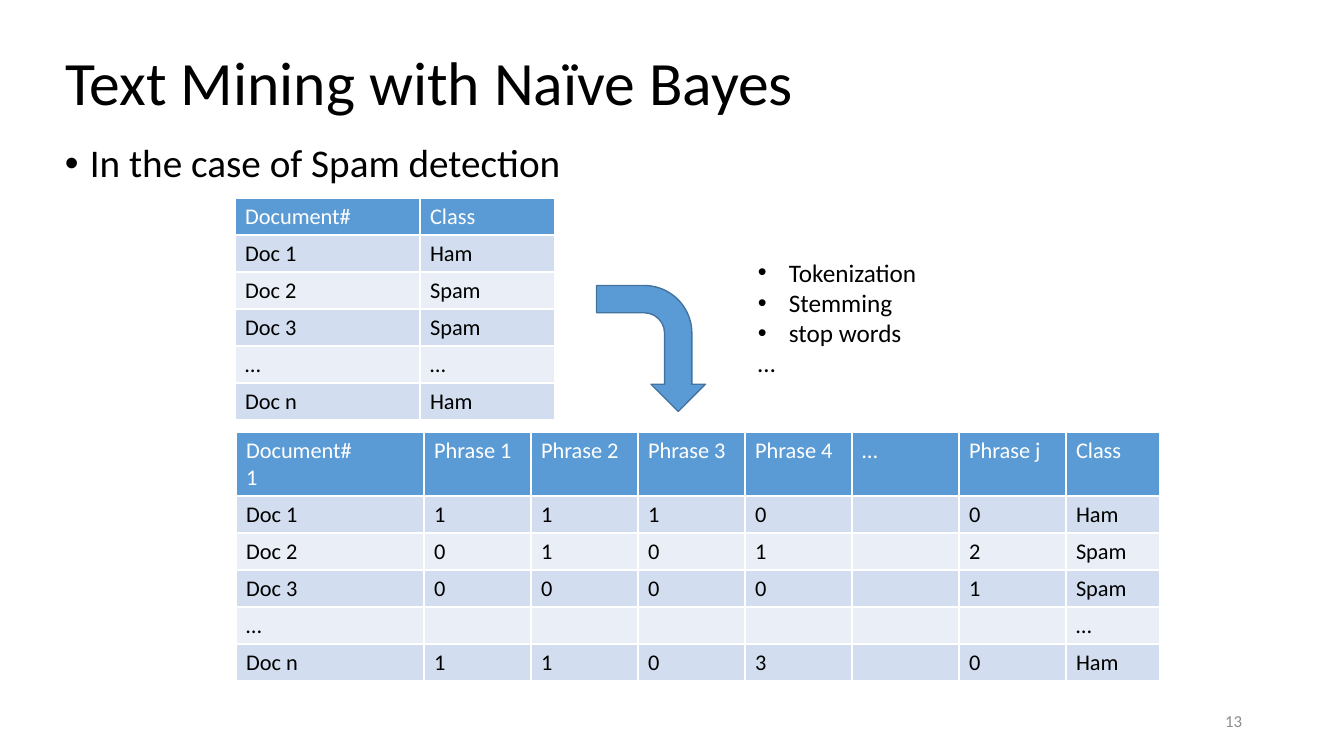
from lxml.etree import SubElement
from pptx import Presentation
from pptx.dml.color import RGBColor
from pptx.enum.shapes import MSO_SHAPE
from pptx.enum.text import MSO_ANCHOR, MSO_AUTO_SIZE, PP_ALIGN
from pptx.oxml.ns import qn
from pptx.util import Pt

PX = 914400 / 100.8
COLORS = {
    "black": "000000", "white": "FFFFFF", "gray": "8C8C8C", "blue": "5B9BD5",
    "edge": "43739E", "dark band": "D2DEEF", "light band": "EAEFF7",
}


def box(*sides):
    """Turn pixel lengths into EMU."""
    return [round(side * PX) for side in sides]


def style(par, size, color="black", indent=0):
    """Set the font of a paragraph, and a bullet if it has an indent."""
    par.font.name = "Calibri"
    par.font.size = Pt(size)
    par.font.bold = False
    par.font.color.rgb = RGBColor.from_string(COLORS[color])
    if indent:
        props = par._p.get_or_add_pPr()
        step = box(indent)[0]
        props.set("marL", str(step))
        props.set("indent", str(-step))
        font = SubElement(props, qn("a:buFont"), typeface="Arial")
        SubElement(props, qn("a:buChar"), char="•")
        mark = props.find(qn("a:buChar"))
        last = props.find(qn("a:defRPr"))
        last.addprevious(font)
        last.addprevious(mark)


deck = Presentation()
deck.slide_width, deck.slide_height = box(1344, 756)
slide = deck.slides.add_slide(deck.slide_layouts[5])
shapes = slide.shapes

# Title
title = shapes.title
title.left, title.top, title.width, title.height = box(55, 22, 1228, 127)
frame = title.text_frame
frame.text = "Text Mining with Naïve Bayes"
frame.auto_size = MSO_AUTO_SIZE.NONE
frame.vertical_anchor = MSO_ANCHOR.MIDDLE
par = frame.paragraphs[0]
par.alignment = PP_ALIGN.LEFT
par.line_spacing = 0.9
style(par, 44)

# Main point
frame = shapes.add_textbox(*box(55, 139, 1228, 561)).text_frame
frame.word_wrap = True
frame.text = "In the case of Spam detection"
par = frame.paragraphs[0]
par.line_spacing = 0.9
par.space_before = Pt(10)
style(par, 28, indent=25)

# Labelled documents, then the counts of their phrases
labels = [
    ["Document#", "Class"],
    ["Doc 1", "Ham"],
    ["Doc 2", "Spam"],
    ["Doc 3", "Spam"],
    ["…", "…"],
    ["Doc n", "Ham"],
]
counts = [
    ["Document#\n1", "Phrase 1", "Phrase 2", "Phrase 3", "Phrase 4", "…", "Phrase j", "Class"],
    ["Doc 1", "1", "1", "1", "0", "", "0", "Ham"],
    ["Doc 2", "0", "1", "0", "1", "", "2", "Spam"],
    ["Doc 3", "0", "0", "0", "0", "", "1", "Spam"],
    ["…", "", "", "", "", "", "", "…"],
    ["Doc n", "1", "1", "0", "3", "", "0", "Ham"],
]
tables = [
    (labels, 235, 198, [185, 135], 37),
    (counts, 236, 432, [188] + [107] * 6 + [94], 64),
]
for rows, left, top, widths, head in tables:
    place = box(left, top, sum(widths), head + 37 * (len(rows) - 1))
    table = shapes.add_table(len(rows), len(widths), *place).table
    for column, width in zip(table.columns, box(*widths)):
        column.width = width
    for i, row in enumerate(rows):
        table.rows[i].height = box(37 if i else head)[0]
        band = "dark band" if i % 2 else "light band" if i else "blue"
        for j, text in enumerate(row):
            cell = table.cell(i, j)
            cell.text = text
            cell.fill.solid()
            cell.fill.fore_color.rgb = RGBColor.from_string(COLORS[band])
            for par in cell.text_frame.paragraphs:
                style(par, 16, "black" if i else "white")

# Arrow from labels to counts
arrow = shapes.add_shape(MSO_SHAPE.BENT_ARROW, *box(588, 294, 126, 109))
arrow.rotation = 90
arrow.shadow.inherit = False
arrow.fill.solid()
arrow.fill.fore_color.rgb = RGBColor.from_string(COLORS["blue"])
arrow.line.color.rgb = RGBColor.from_string(COLORS["edge"])
arrow.line.width = Pt(1)

# Steps of text cleaning
steps = ["Tokenization", "Stemming", "stop words", "…"]
frame = shapes.add_textbox(*box(748, 252, 219, 132)).text_frame
frame.word_wrap = True
frame.text = "\n".join(steps)
for par in frame.paragraphs:
    style(par, 18, indent=0 if par.text == "…" else 31)

# Slide number
frame = shapes.add_textbox(*box(950, 701, 302, 40)).text_frame
frame.word_wrap = True
frame.vertical_anchor = MSO_ANCHOR.MIDDLE
frame.text = "13"
par = frame.paragraphs[0]
par.alignment = PP_ALIGN.RIGHT
style(par, 12, "gray")

deck.save("out.pptx")
